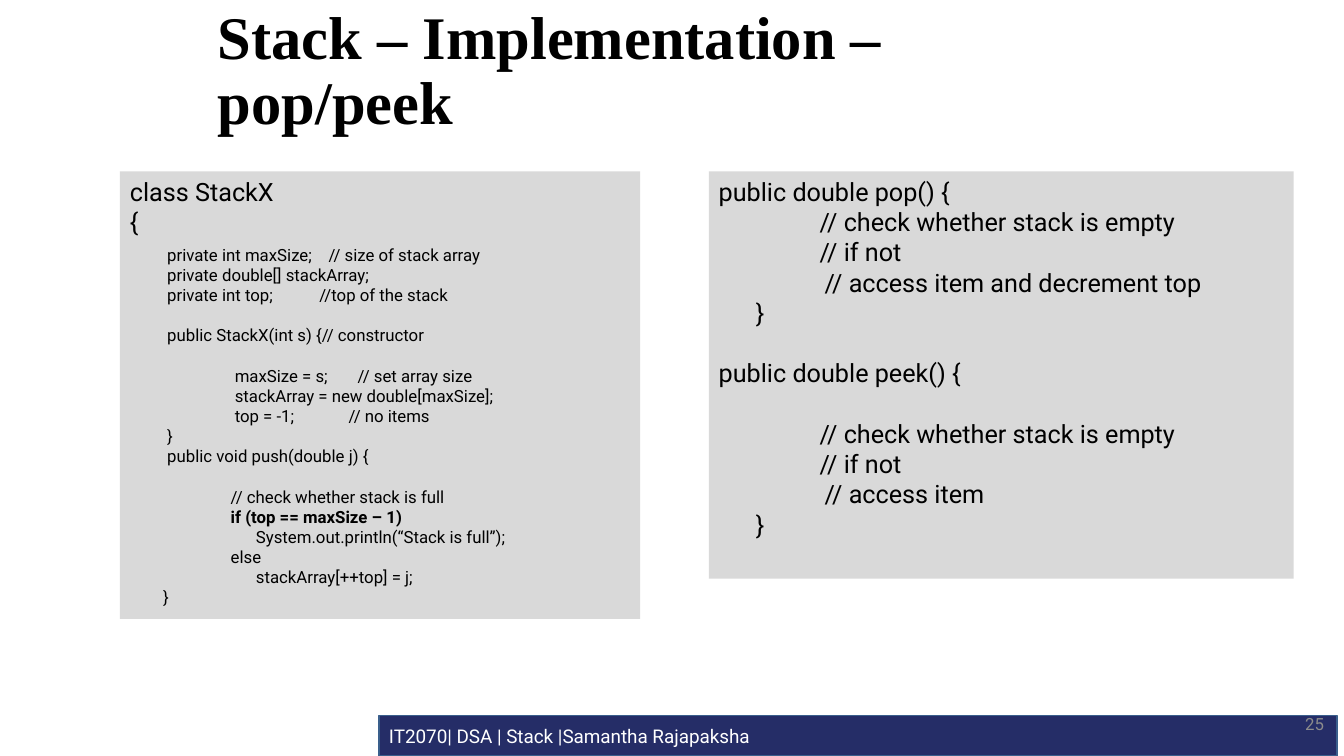
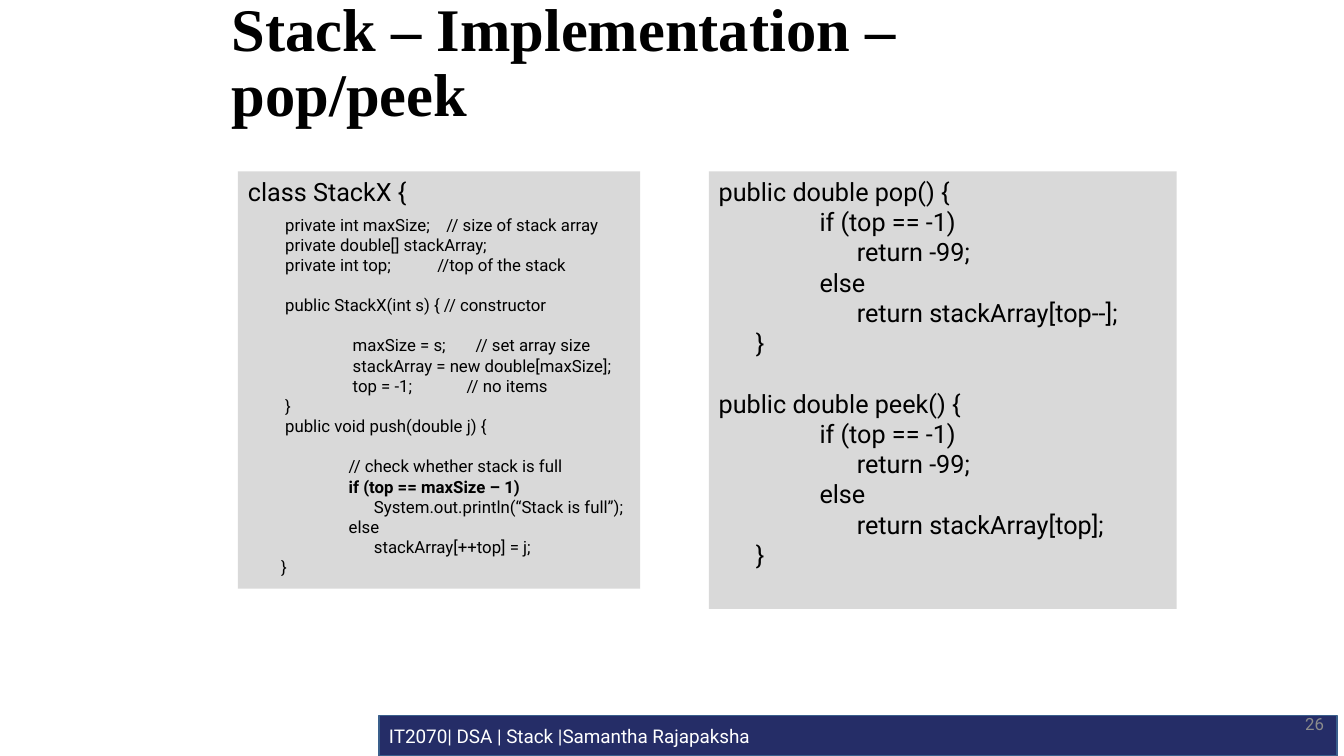
"""Build two slides on the pop and peek operations of a stack."""
import lxml.etree
import pptx
import pptx.dml.color
import pptx.enum.shapes
import pptx.enum.text
import pptx.oxml.ns
import pptx.util

Inches, Pt = pptx.util.Inches, pptx.util.Pt
RGBColor = pptx.dml.color.RGBColor
ANCHOR = pptx.enum.text.MSO_ANCHOR
ALIGN = pptx.enum.text.PP_ALIGN
qn = pptx.oxml.ns.qn

BLACK = RGBColor(0x00, 0x00, 0x00)
WHITE = RGBColor(0xFF, 0xFF, 0xFF)
NAVY = RGBColor(0x25, 0x2D, 0x67)
BLUE = RGBColor(0x3A, 0x5F, 0x8C)
PANEL = RGBColor(0xD9, 0xD9, 0xD9)
GREY = RGBColor(0x8C, 0x8C, 0x8C)

MEMBER, BODY, ASSIGN, NESTED = 0.37, 1.0, 1.04, 1.25
CLOSE, RETURN, ACCESS = 0.33, 1.37, 1.05
SMALL, LARGE = 12, 18
LINE = 1.2


class Line:
    """One line of code, with its cells placed at tab stops."""

    def __init__(self, *cells, size=SMALL, gap=0, bold=False):
        self.cells, self.size, self.gap, self.bold = cells, size, gap, bold


class Deck:
    """Hold the shared style and the current slide."""

    def __init__(self):
        self.prs = pptx.Presentation()
        self.prs.slide_width = Inches(13.33)
        self.prs.slide_height = Inches(7.5)
        self.s = None

    def slide(self, title, left, top, number):
        """Start a slide with its title, footer band and number."""
        self.s = self.prs.slides.add_slide(self.prs.slide_layouts[5])
        self.footer("IT2070| DSA | Stack |Samantha Rajapaksha")
        self.title(title, left, top)
        self.number(number)

    def style(self, p, size, color, font="Roboto", bold=False):
        """Format all runs of a paragraph."""
        for r in p.runs:
            r.font.name, r.font.size, r.font.bold = font, Pt(size), bold
            r.font.color.rgb = color

    def box(self, left, top, width, height, fill, anchor=ANCHOR.TOP):
        """Add a filled rectangle."""
        sp = self.s.shapes.add_shape(
            pptx.enum.shapes.MSO_SHAPE.RECTANGLE,
            Inches(left), Inches(top), Inches(width), Inches(height))
        sp.shadow.inherit = False
        sp.fill.solid()
        sp.fill.fore_color.rgb = fill
        sp.line.fill.background()
        sp.text_frame.vertical_anchor = anchor
        return sp

    def title(self, text, left, top):
        """Place and format the title placeholder."""
        sp = self.s.shapes.title
        sp.left, sp.top = Inches(left), Inches(top)
        sp.width, sp.height = Inches(7.5), Inches(0.88)
        tf = sp.text_frame
        tf.text = text
        tf.word_wrap = True
        tf.auto_size = pptx.enum.text.MSO_AUTO_SIZE.NONE
        tf.vertical_anchor = ANCHOR.MIDDLE
        p = tf.paragraphs[0]
        p.alignment, p.line_spacing = ALIGN.LEFT, 0.9
        self.style(p, 43.2, BLACK, "Times New Roman", True)

    def footer(self, text):
        """Add the footer band."""
        sp = self.box(3.76, 7.1, 9.5, 0.4, NAVY, ANCHOR.MIDDLE)
        sp.line.color.rgb, sp.line.width = BLUE, Pt(1)
        sp.text_frame.text = text
        p = sp.text_frame.paragraphs[0]
        p.alignment = ALIGN.LEFT
        self.style(p, 13.5, WHITE)

    def number(self, number):
        """Add the slide number."""
        sp = self.s.shapes.add_textbox(
            Inches(12.56), Inches(6.98), Inches(0.67), Inches(0.4))
        tf = sp.text_frame
        tf.text = str(number)
        tf.word_wrap = True
        tf.vertical_anchor = ANCHOR.MIDDLE
        p = tf.paragraphs[0]
        p.alignment = ALIGN.RIGHT
        self.style(p, 12, GREY)

    def code(self, left, width, height, lines):
        """Add a panel of code lines."""
        tf = self.box(left, 1.7, width, height, PANEL).text_frame
        for i, line in enumerate(lines):
            p = tf.add_paragraph() if i else tf.paragraphs[0]
            p.text = "".join(
                "\t" + text if stop else text for stop, text in line.cells)
            p.alignment, p.space_before = ALIGN.LEFT, Pt(line.gap)
            self.tabs(p, [stop for stop, text in line.cells if stop])
            self.style(p, line.size, BLACK, bold=line.bold)

    def tabs(self, p, stops):
        """Set the tab stops of a paragraph."""
        if stops:
            pPr = p._p.get_or_add_pPr()
            tabs = lxml.etree.SubElement(pPr, qn("a:tabLst"))
            for stop in stops:
                lxml.etree.SubElement(
                    tabs, qn("a:tab"), pos=str(Inches(stop)), algn="l")


def stack_class(head, constructor):
    """Return the lines of the class, from its head to push."""
    blank = SMALL * LINE
    return [Line((0, text), size=LARGE) for text in head] + [
        Line((MEMBER, "private int maxSize;"),
             (1.97, "// size of stack array"), gap=5.5),
        Line((MEMBER, "private double[] stackArray;")),
        Line((MEMBER, "private int top;"), (1.88, "//top of the stack")),
        Line((MEMBER, constructor), gap=blank),
        Line((ASSIGN, "maxSize = s;"), (2.26, "// set array size"),
             gap=blank),
        Line((ASSIGN, "stackArray = new double[maxSize];")),
        Line((ASSIGN, "top = -1;"), (2.17, "// no items")),
        Line((MEMBER, "}")),
        Line((MEMBER, "public void push(double j) {")),
        Line((BODY, "// check whether stack is full"), gap=blank),
        Line((BODY, "if (top == maxSize – 1)"), bold=True),
        Line((NESTED, "System.out.println(“Stack is full”);")),
        Line((BODY, "else")),
        Line((NESTED, "stackArray[++top] = j;")),
        Line((CLOSE, "}")),
    ]


def method(name, body, gap=0, body_gap=0):
    """Return the lines of one method in large type."""
    lines = [Line((0, f"public double {name}() {{"), size=LARGE, gap=gap)]
    for i, cell in enumerate(body):
        lines.append(Line(cell, size=LARGE, gap=0 if i else body_gap))
    return lines + [Line((MEMBER, "}"), size=LARGE)]


def outline(action):
    """Return a method body written as comments."""
    return [(BODY, "// check whether stack is empty"), (BODY, "// if not"),
            (ACCESS, f"// {action}")]


def solution(index):
    """Return a method body written in full."""
    return [(BODY, "if (top == -1)"), (RETURN, "return -99;"),
            (BODY, "else"), (RETURN, f"return stackArray[{index}];")]


def main():
    """Build and save the slides."""
    title = "Stack – Implementation – pop/peek"
    blank = LARGE * LINE
    deck = Deck()

    deck.slide(title, 2.06, 0.28, 25)
    deck.code(1.19, 5.16, 4.44, stack_class(
        ["class StackX", "{"], "public StackX(int s) {// constructor"))
    deck.code(7.03, 5.8, 4.04,
              method("pop", outline("access item and decrement top"))
              + method("peek", outline("access item"), blank, blank))

    deck.slide(title, 2.2, 0.2, 26)
    deck.code(2.36, 3.99, 4.14, stack_class(
        ["class StackX {"], "public StackX(int s) { // constructor"))
    deck.code(7.03, 4.64, 4.34,
              method("pop", solution("top--"))
              + method("peek", solution("top"), blank))

    deck.prs.save("out.pptx")


if __name__ == "__main__":
    main()
